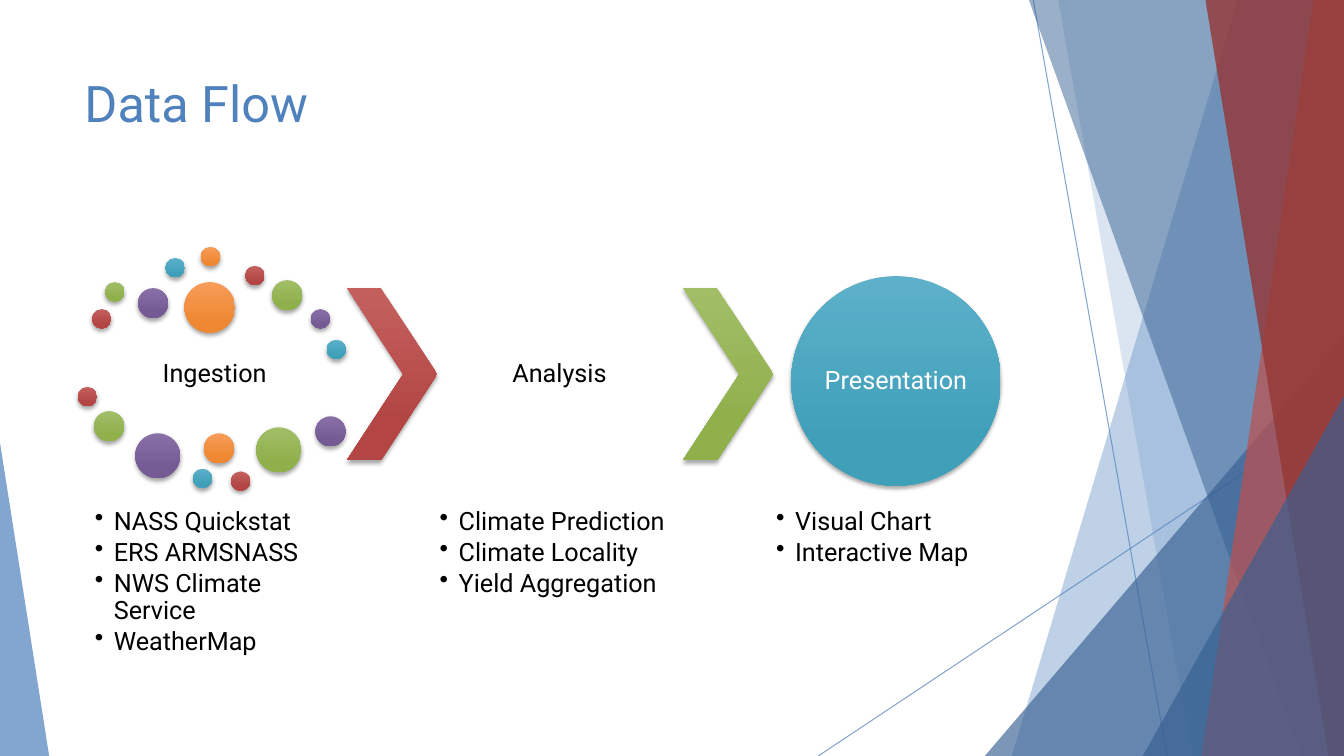
from dataclasses import dataclass
from itertools import cycle
from lxml.etree import SubElement
from pptx import Presentation
from pptx.dml.color import RGBColor
from pptx.enum.shapes import MSO_CONNECTOR, MSO_SHAPE
from pptx.enum.text import MSO_ANCHOR, PP_ALIGN
from pptx.oxml.ns import qn
from pptx.util import Cm, Pt


@dataclass(frozen=True)
class Theme:
    font: str = "Roboto"
    head: int = 36
    body: int = 18
    blue: str = "4F81BD"
    navy: str = "376092"
    rose: str = "C0504D"
    wine: str = "953735"
    black: str = "000000"
    white: str = "FFFFFF"
    red: tuple = ("C3605E", "B34644")
    green: tuple = ("A1BE67", "90B04C")
    purple: tuple = ("8870A7", "755B94")
    teal: tuple = ("5DB0C9", "40A0BA")
    orange: tuple = ("F79C59", "EF8833")


THEME = Theme()
WIDE, HIGH = 33.87, 19.05
SMALL, MID, LARGE, HUGE = 0.49, 0.76, 1.13, 1.27
DOTS = [
    (0.36, 1.57, SMALL), (0.69, 0.89, SMALL), (1.52, 1.04, MID),
    (2.21, 0.28, SMALL), (3.1, 0, SMALL), (4.22, 0.48, SMALL),
    (4.9, 0.84, MID), (5.87, 1.57, SMALL), (6.27, 2.34, SMALL),
    (2.69, 0.89, HUGE), (0, 3.53, SMALL), (0.41, 4.14, MID),
    (1.45, 4.7, LARGE), (2.9, 5.59, SMALL), (3.18, 4.7, MID),
    (3.86, 5.66, SMALL), (4.5, 4.55, LARGE), (5.99, 4.27, MID),
]


def fade(fill, alpha):
    color = fill.find(".//" + qn("a:srgbClr"))
    SubElement(color, qn("a:alpha")).set("val", str(alpha * 1000))


def tint(shape, color, alpha):
    shape.shadow.inherit = False
    shape.fill.solid()
    shape.fill.fore_color.rgb = RGBColor.from_string(color)
    shape.line.fill.background()
    fade(shape.element.spPr.find(qn("a:solidFill")), alpha)


def write(frame, lines, size=THEME.body, color=THEME.black, inset=0.08,
          align=PP_ALIGN.LEFT, anchor=MSO_ANCHOR.TOP, space=0.9, after=0, bullet=None):
    frame.word_wrap = True
    frame.vertical_anchor = anchor
    frame.margin_left = frame.margin_right = Cm(inset)
    frame.margin_top = frame.margin_bottom = Cm(min(inset, 0.13))
    for i, line in enumerate(lines):
        para = frame.add_paragraph() if i else frame.paragraphs[0]
        para.alignment = align
        para.line_spacing = space
        para.space_after = Pt(after)
        run = para.add_run()
        run.text = line
        run.font.name = THEME.font
        run.font.size = Pt(size)
        run.font.color.rgb = RGBColor.from_string(color)
        if bullet:
            para.level = 1
            props = para._p.get_or_add_pPr()
            props.set("marL", str(Cm(0.48)))
            props.set("indent", str(-Cm(0.48)))
            SubElement(props, qn("a:buChar")).set("char", bullet)


def add_text(slide, box, lines, **style):
    frame = slide.shapes.add_textbox(*map(Cm, box)).text_frame
    write(frame, lines, **style)


def add_gloss(slide, kind, box, shades):
    shape = slide.shapes.add_shape(kind, *map(Cm, box))
    shape.fill.gradient()
    shape.fill.gradient_angle = 270
    for stop, shade, place in zip(shape.fill.gradient_stops, shades, (0, 0.78)):
        stop.color.rgb = RGBColor.from_string(shade)
        stop.position = place
    shape.line.fill.background()
    shape.shadow.inherit = False
    glow = SubElement(shape.element.spPr.find(qn("a:effectLst")), qn("a:outerShdw"))
    for key, value in (("blurRad", Pt(3)), ("dist", Pt(2)), ("dir", 5400000), ("rotWithShape", 0)):
        glow.set(key, str(value))
    SubElement(glow, qn("a:srgbClr")).set("val", THEME.black)
    fade(glow, 35)
    return shape


def add_line(slide, start, end):
    line = slide.shapes.add_connector(MSO_CONNECTOR.STRAIGHT, *map(Cm, start + end))
    line.line.color.rgb = RGBColor.from_string(THEME.blue)
    line.line.width = Pt(0.75)
    fade(line.element.spPr.find(qn("a:ln")), 70)
    SubElement(line.element.spPr, qn("a:effectLst"))


def add_band(slide, top, base, color, alpha):
    edge = [(top, 0), (WIDE, 0), (WIDE, HIGH), (base, HIGH)]
    points = [(Cm(x), Cm(y)) for x, y in edge]
    form = slide.shapes.build_freeform(*points[0])
    form.add_line_segments(points[1:], close=True)
    tint(form.convert_to_shape(), color, alpha)


def add_peak(slide, box, tip, color, alpha):
    peak = slide.shapes.add_shape(MSO_SHAPE.ISOSCELES_TRIANGLE, *map(Cm, box))
    peak.adjustments[0] = tip
    tint(peak, color, alpha)


def add_backdrop(slide):
    add_line(slide, (26.04, 0), (29.41, HIGH))
    add_line(slide, (WIDE, 10.24), (20.62, HIGH))
    add_band(slide, 31.19, 25.5, THEME.blue, 36)
    add_band(slide, 26.67, 30.05, THEME.blue, 20)
    add_peak(slide, (24.82, 8.46, WIDE - 24.82, HIGH - 8.46), 1, THEME.navy, 66)
    add_band(slide, 25.93, 32.79, THEME.navy, 50)
    add_band(slide, 33.1, 30.28, THEME.rose, 70)
    add_band(slide, 30.38, 33.48, THEME.wine, 80)
    add_peak(slide, (28.8, 9.98, WIDE - 28.8, HIGH - 9.98), 1, THEME.navy, 66)
    add_peak(slide, (0, 11.15, 1.24, HIGH - 11.15), 0, THEME.blue, 70)


def add_cloud(slide, left, top):
    hues = cycle([THEME.red, THEME.green, THEME.purple, THEME.teal, THEME.orange])
    for (x, y, size), hue in zip(DOTS, hues):
        add_gloss(slide, MSO_SHAPE.OVAL, (left + x, top + y, size, size), hue)


def add_arrow(slide, left, top, shades):
    arrow = add_gloss(slide, MSO_SHAPE.CHEVRON, (left, top, 2.28, 4.34), shades)
    arrow.adjustments[0] = 0.623


def add_step(slide, left, top, label, items):
    middle = dict(align=PP_ALIGN.CENTER, anchor=MSO_ANCHOR.MIDDLE)
    if label == "Presentation":
        disc = add_gloss(slide, MSO_SHAPE.OVAL, (left + 0.46, top - 0.3, 5.28, 5.28), THEME.teal)
        write(disc.text_frame, [label], color=THEME.white, inset=0, **middle)
    else:
        add_text(slide, (left, top, 6.2, 4.34), [label], **middle)
    add_text(slide, (left, top + 5.47, 6.2, 3.84), items, after=2.7, bullet="•")


def add_flow(slide, left, top):
    add_cloud(slide, left - 0.35, top - 1.04)
    add_step(slide, left, top, "Ingestion",
             ["NASS Quickstat", "ERS ARMSNASS", "NWS Climate Service", "WeatherMap"])
    add_arrow(slide, left + 6.43, top, THEME.red)
    add_step(slide, left + 8.69, top, "Analysis",
             ["Climate Prediction", "Climate Locality", "Yield Aggregation"])
    add_arrow(slide, left + 14.9, top, THEME.green)
    add_step(slide, left + 17.17, top, "Presentation", ["Visual Chart", "Interactive Map"])


def main():
    deck = Presentation()
    deck.slide_width, deck.slide_height = Cm(WIDE), Cm(HIGH)
    slide = deck.slides.add_slide(deck.slide_layouts[6])
    add_backdrop(slide)
    add_text(slide, (1.88, 1.7, 23.88, 3.66), ["Data Flow"],
             size=THEME.head, color=THEME.blue, inset=0.25, space=1.0)
    add_flow(slide, 2.31, 7.26)
    deck.save("out.pptx")


if __name__ == "__main__":
    main()
